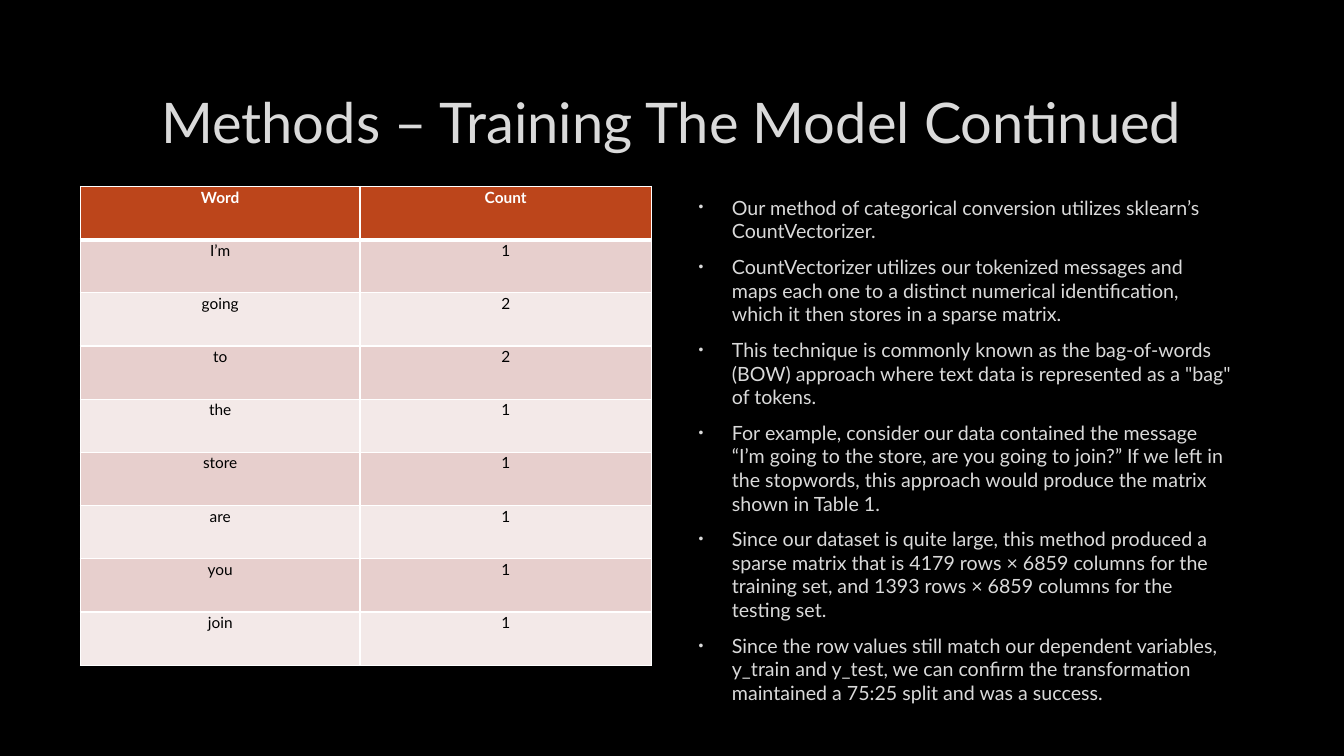
import pptx
import pptx.util
import pptx.dml.color
import pptx.enum.text
import pptx.oxml
import pptx.oxml.ns

Cm = pptx.util.Cm
Pt = pptx.util.Pt
RGB = pptx.dml.color.RGBColor
ALIGN = pptx.enum.text.PP_ALIGN
ANCHOR = pptx.enum.text.MSO_ANCHOR

BLACK = RGB(0x00, 0x00, 0x00)
WHITE = RGB(0xFF, 0xFF, 0xFF)
GREY = RGB(0xDA, 0xDA, 0xDA)
RUST = RGB(0xBC, 0x45, 0x1B)
ROSE = RGB(0xE7, 0xCF, 0xCD)
BLUSH = RGB(0xF3, 0xE9, 0xE8)

WORDS = [
    ("Word", "Count"),
    ("I’m", "1"),
    ("going", "2"),
    ("to", "2"),
    ("the", "1"),
    ("store", "1"),
    ("are", "1"),
    ("you", "1"),
    ("join", "1"),
]

POINTS = [
    "Our method of categorical conversion utilizes sklearn’s CountVectorizer.",
    "CountVectorizer utilizes our tokenized messages and maps each one to a distinct "
    "numerical identification, which it then stores in a sparse matrix.",
    "This technique is commonly known as the bag-of-words (BOW) approach where text data "
    "is represented as a \"bag\" of tokens.",
    "For example, consider our data contained the message “I’m going to the store, are you "
    "going to join?” If we left in the stopwords, this approach would produce the matrix "
    "shown in Table 1.",
    "Since our dataset is quite large, this method produced a sparse matrix that is "
    "4179 rows × 6859 columns for the training set, and 1393 rows × 6859 columns for the "
    "testing set.",
    "Since the row values still match our dependent variables, y_train and y_test, we can "
    "confirm the transformation maintained a 75:25 split and was a success.",
]


def add_xml(parent, xml):
    head, tail = xml.split(" ", 1)
    space = pptx.oxml.ns.nsdecls("a")
    parent.append(pptx.oxml.parse_xml(f"{head} {space} {tail}"))


def write(par, text, font="Lato", size=14, color=GREY, bold=False,
          align=ALIGN.LEFT, line=1.0, before=0, after=0):
    par.alignment = align
    par.line_spacing = line
    par.space_before = Pt(before)
    par.space_after = Pt(after)
    run = par.add_run()
    run.text = text
    run.font.name = font
    run.font.size = Pt(size)
    run.font.bold = bold
    run.font.color.rgb = color


class Deck:
    def __init__(self, font):
        self.font = font
        self.show = pptx.Presentation()
        self.show.slide_width = Cm(33.87)
        self.show.slide_height = Cm(19.05)
        self.slide = self.show.slides.add_slide(self.show.slide_layouts[1])
        back = self.slide.background.fill
        back.solid()
        back.fore_color.rgb = BLACK

    def place(self, shape, left, top, width, height, anchor):
        shape.left, shape.top = Cm(left), Cm(top)
        shape.width, shape.height = Cm(width), Cm(height)
        frame = shape.text_frame
        frame.word_wrap = True
        frame.auto_size = pptx.enum.text.MSO_AUTO_SIZE.NONE
        frame.vertical_anchor = anchor
        return frame

    def title(self, text, *box):
        frame = self.place(self.slide.shapes.title, *box, ANCHOR.MIDDLE)
        write(frame.paragraphs[0], text, font=self.font, size=40, align=ALIGN.CENTER)

    def bullets(self, items, *box):
        frame = self.place(self.slide.placeholders[1], *box, ANCHOR.TOP)
        for i, item in enumerate(items):
            par = frame.add_paragraph() if i else frame.paragraphs[0]
            write(par, item, font=self.font, before=2.8, after=6)
            props = par._p.get_or_add_pPr()
            props.set("marL", str(Cm(0.97)))
            props.set("indent", str(Cm(-0.84)))
            add_xml(props, f'<a:buClr ><a:srgbClr val="{GREY}"/></a:buClr>')
            add_xml(props, '<a:buSzPct val="70000"/>')
            add_xml(props, '<a:buFont typeface="Arial"/>')
            add_xml(props, '<a:buChar char="•"/>')

    def cell(self, cell, text, fill, color, bold, top, bottom):
        cell.margin_left = cell.margin_right = Cm(0.18)
        cell.margin_top = cell.margin_bottom = 0
        cell.vertical_anchor = ANCHOR.TOP
        write(cell.text_frame.paragraphs[0], text, font=self.font, size=11,
              color=color, bold=bold, align=ALIGN.CENTER, line=1.07)
        props = cell._tc.get_or_add_tcPr()
        for side, width in (("L", 1), ("R", 1), ("T", top), ("B", bottom)):
            add_xml(props, f'<a:ln{side} w="{Pt(width)}"><a:solidFill>'
                           f'<a:srgbClr val="{WHITE}"/></a:solidFill></a:ln{side}>')
        cell.fill.solid()
        cell.fill.fore_color.rgb = fill

    def table(self, rows, left, top, widths, height):
        grid = self.slide.shapes.add_table(
            len(rows), len(widths), Cm(left), Cm(top),
            Cm(sum(widths)), Cm(height * len(rows))).table
        for col, width in zip(grid.columns, widths):
            col.width = Cm(width)
        for r, row in enumerate(rows):
            grid.rows[r].height = Cm(height)
            head = r == 0
            fill = RUST if head else (BLUSH, ROSE)[r % 2]
            for c, text in enumerate(row):
                self.cell(grid.cell(r, c), text, fill, WHITE if head else BLACK, head,
                          top=3 if r == 1 else 1, bottom=3 if head else 1)


def main():
    deck = Deck("Lato")
    deck.title("Methods – Training The Model Continued", 2.54, 1.7, 28.75, 2.69)
    deck.table(WORDS, 2.03, 4.7, (7.04, 7.35), 1.34)
    deck.bullets(POINTS, 17.22, 4.8, 14.08, 11.28)
    deck.show.save("out.pptx")


if __name__ == "__main__":
    main()
